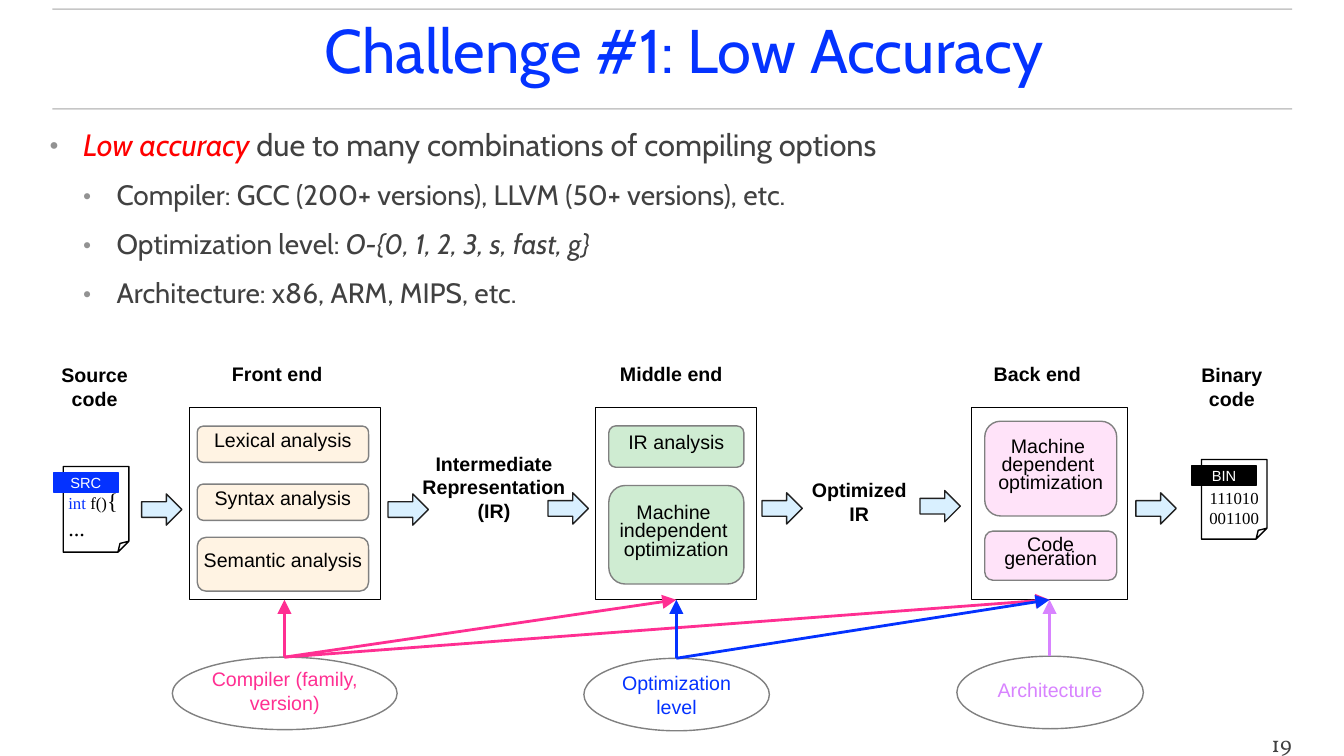
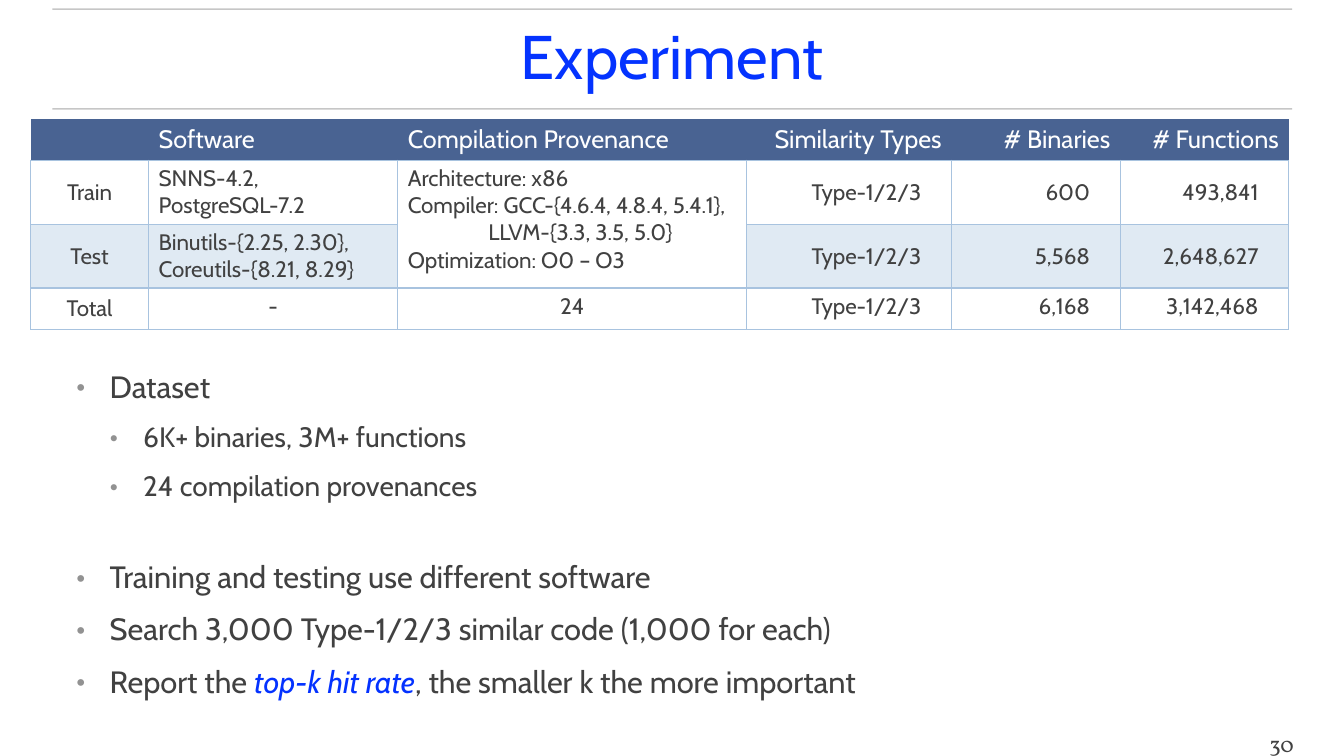
import pptx
import pptx.dml.color
import pptx.enum.shapes
import pptx.enum.text
import pptx.oxml.ns
import pptx.util
from lxml import etree

Pt = pptx.util.Pt
SHAPE = pptx.enum.shapes.MSO_SHAPE
ALIGN = pptx.enum.text.PP_ALIGN
ANCHOR = pptx.enum.text.MSO_ANCHOR

BLUE, TITLE_BLUE, PINK, VIOLET = "0432FF", "0433FF", "FF2F92", "D883FF"
BLACK, WHITE, TEXT, RED = "000000", "FFFFFF", "414141", "FF0000"
GREY, BULLET, RULE = "808080", "929292", "444444"
HEADER, BORDER = "496392", "A8C3DF"


def rgb(code):
    return pptx.dml.color.RGBColor.from_string(code)


def add_xml(parent, tag, **attributes):
    return etree.SubElement(parent, pptx.oxml.ns.qn(tag), attributes)


def fade(filled, percent):
    """Set the opacity of the solid fill directly inside an XML element."""
    fill = filled.find(pptx.oxml.ns.qn("a:solidFill"))
    add_xml(fill[0], "a:alpha", val=str(percent * 1000))


def font(name, size, color, **extra):
    return {"name": name, "size": Pt(size), "color": color, **extra}


def sides(left, top, right, bottom):
    """Insets in points, keyed by text frame or cell attribute."""
    values = {"left": left, "top": top, "right": right, "bottom": bottom}
    return {f"margin_{side}": Pt(value) for side, value in values.items()}


def set_all(target, values):
    for key, value in values.items():
        setattr(target, key, value)


def indent(paragraph, left, first=0):
    properties = paragraph._p.get_or_add_pPr()
    for key, value in {"marL": Pt(left), "indent": Pt(first)}.items():
        properties.set(key, str(value))
    return properties


class Deck:
    TITLE = font("Cabin", 44, TITLE_BLUE)
    NUMBER = font("Vollkorn", 16, TEXT)
    BODY = [font("Cabin", 22, TEXT), font("Cabin", 20, TEXT)]
    LABEL = font("Arial", 14, BLACK, bold=True)
    STEP = font("Arial", 14, BLACK)
    TAG = font("Arial", 10.5, WHITE)
    CODE = font("Times New Roman", 12, BLACK)
    TABLE_HEAD = font("Cabin", 18, WHITE)
    TABLE_BODY = font("Cabin", 16, TEXT)
    BODY_INSETS = sides(4.3, 4.3, 4.3, 4.3)

    def __init__(self):
        self.file = pptx.Presentation()
        self.file.slide_width, self.file.slide_height = Pt(960), Pt(540)
        self.slide = None

    def new_slide(self, title, title_box, number):
        self.slide = self.file.slides.add_slide(self.file.slide_layouts[6])
        for y in (6.5, 77.8):
            self.line((37.5, y), (923, y), RULE, 1, opacity=30)
        self.text(title_box, [title], self.TITLE, self.BODY_INSETS,
                  ANCHOR.MIDDLE, line_spacing=0.9)
        self.text((897.8, 517.7, 35.3, 21.6), [str(number)], self.NUMBER,
                  sides(7.2, 3.6, 7.2, 3.6))

    def runs(self, paragraph, content, base):
        """Content is a string or a list of (string, font changes)."""
        if isinstance(content, str):
            content = [(content, {})]
        for words, changes in content:
            run = paragraph.add_run()
            run.text = words
            look = {**base, **changes}
            run.font.color.rgb = rgb(look.pop("color"))
            set_all(run.font, look)

    def paragraphs(self, frame, contents, base, gap=0, **layout):
        for index, content in enumerate(contents):
            paragraph = frame.add_paragraph() if index else frame.paragraphs[0]
            set_all(paragraph, {"space_before": Pt(gap if index else 0), **layout})
            self.runs(paragraph, content, base)

    def text(self, box, contents, base, insets, anchor=ANCHOR.TOP, **layout):
        frame = self.slide.shapes.add_textbox(*map(Pt, box)).text_frame
        set_all(frame, {"word_wrap": True, "vertical_anchor": anchor, **insets})
        self.paragraphs(frame, contents, base, **{"alignment": ALIGN.CENTER, **layout})

    def label(self, box, *contents, alignment=ALIGN.CENTER):
        self.text(box, contents, self.LABEL, sides(7.2, 7.2, 7.2, 7.2),
                  alignment=alignment)

    def bullets(self, box, items):
        """Each item is (level, space before, content)."""
        frame = self.slide.shapes.add_textbox(*map(Pt, box)).text_frame
        set_all(frame, {"word_wrap": True, "vertical_anchor": ANCHOR.MIDDLE,
                        **self.BODY_INSETS})
        for index, (level, gap, content) in enumerate(items):
            paragraph = frame.add_paragraph() if index else frame.paragraphs[0]
            properties = indent(paragraph, 24 * (level + 1), -24)
            add_xml(add_xml(properties, "a:buClr"), "a:srgbClr", val=BULLET)
            add_xml(properties, "a:buFont", typeface=self.BODY[level]["name"])
            add_xml(properties, "a:buChar", char="•")
            set_all(paragraph, {"level": level, "space_before": Pt(gap)})
            self.runs(paragraph, content, self.BODY[level])

    def shape(self, kind, box, fill=None, outline=BLACK, width=1, contents=(),
              base=None, insets=None, anchor=ANCHOR.MIDDLE, **layout):
        shape = self.slide.shapes.add_shape(kind, *map(Pt, box))
        shape.shadow.inherit = False
        if fill:
            shape.fill.solid()
            shape.fill.fore_color.rgb = rgb(fill)
        else:
            shape.fill.background()
        shape.line.color.rgb = rgb(outline)
        shape.line.width = Pt(width)
        set_all(shape.text_frame, {"word_wrap": True, "vertical_anchor": anchor,
                                   **(insets or sides(0, 0, 0, 0))})
        self.paragraphs(shape.text_frame, contents, base,
                        **{"alignment": ALIGN.CENTER, **layout})

    def flow_arrow(self, x, y):
        self.shape(SHAPE.RIGHT_ARROW, (x, y, 28.8, 22.3), "D9F0FF", "202020")

    def stage(self, name, label_x, frame_x, frame_width, step_x, step_width, fill, steps):
        """A framed compiler phase; each step is (top, height, lines)."""
        self.label((label_x, 251.3, 105, 41), name, alignment=ALIGN.LEFT)
        self.shape(SHAPE.RECTANGLE, (frame_x, 291.2, frame_width, 137))
        for top, height, lines in steps:
            self.shape(SHAPE.ROUNDED_RECTANGLE, (step_x, top, step_width, height),
                       fill, GREY, contents=lines, base=self.STEP,
                       gap=3, line_spacing=Pt(10))

    def code_file(self, x, y, height, tag, color, contents, alignment):
        self.shape(SHAPE.FOLDED_CORNER, (x, y, 46.8, height), contents=contents,
                   base=self.CODE, insets=sides(3.6, 3.6, 3.6, 0),
                   anchor=ANCHOR.BOTTOM, alignment=alignment)
        self.shape(SHAPE.RECTANGLE, (x - 6.5, y + 4.3, 45.4, 14.4), color, color, 1.25,
                   [tag], self.TAG, sides(3.6, 3.6, 3.6, 3.6))

    def line(self, start, end, color, width, opacity=100, arrow=False):
        connector = self.slide.shapes.add_connector(
            pptx.enum.shapes.MSO_CONNECTOR.STRAIGHT, *map(Pt, start + end))
        connector.line.color.rgb = rgb(color)
        connector.line.width = Pt(width)
        properties = connector.element.spPr
        stroke = properties.find(pptx.oxml.ns.qn("a:ln"))
        if opacity < 100:
            fade(stroke, opacity)
        if arrow:
            add_xml(stroke, "a:tailEnd", type="triangle", w="lg", len="lg")
        add_xml(properties, "a:effectLst")

    def table(self, left, top, widths, heights):
        table = self.slide.shapes.add_table(
            len(heights), len(widths), Pt(left), Pt(top),
            Pt(sum(widths)), Pt(sum(heights))).table
        set_all(table, {"first_row": False, "horz_banding": False})
        for column, width in zip(table.columns, widths):
            column.width = Pt(width)
        for row, height in zip(table.rows, heights):
            row.height = Pt(height)
        return table

    def cell(self, cell, contents, base, fill, border, alignment,
             anchor=ANCHOR.TOP, right=7.2, opacity=100):
        set_all(cell, {"vertical_anchor": anchor, **sides(7.2, 3.6, right, 3.6)})
        properties = cell._tc.get_or_add_tcPr()
        for side in ("a:lnL", "a:lnR", "a:lnT", "a:lnB"):
            edge = add_xml(properties, side, w=str(Pt(1)))
            if border:
                add_xml(add_xml(edge, "a:solidFill"), "a:srgbClr", val=border)
            else:
                add_xml(edge, "a:noFill")
        if fill:
            cell.fill.solid()
            cell.fill.fore_color.rgb = rgb(fill)
            if opacity < 100:
                fade(properties, opacity)
        else:
            cell.fill.background()
        self.paragraphs(cell.text_frame, contents, base, alignment=alignment)


def accuracy_slide(deck):
    deck.new_slide("Challenge #1: Low Accuracy", (27.4, 5.8, 922.3, 65.5), 19)
    deck.bullets((31, 77.8, 928.8, 154.8), [
        (0, 0, [("Low accuracy ", {"color": RED, "italic": True}),
                ("due to many combinations of compiling options", {})]),
        (1, 11, "Compiler: GCC (200+ versions), LLVM (50+ versions), etc."),
        (1, 11, [("Optimization level: ", {}),
                 ("O-{0, 1, 2, 3, s, fast, g}", {"italic": True})]),
        (1, 11, "Architecture: x86, ARM, MIPS, etc.")])

    deck.stage("Front end", 158.6, 135.2, 136.6, 140.9, 122.4, "FFF3E3", [
        (304.4, 25.9, ["Lexical analysis"]),
        (345.8, 25.9, ["Syntax analysis"]),
        (383.8, 38.5, ["Semantic analysis"])])
    deck.stage("Middle end", 435.8, 425.4, 115, 434.9, 96.5, "CFECD2", [
        (304.2, 29.5, ["IR analysis"]),
        (346.8, 70.4, ["Machine ", "independent ", "optimization"])])
    deck.stage("Back end", 702.7, 694, 111.4, 703.4, 94.3, "FFE3F9", [
        (300.9, 67.7, ["Machine ", "dependent ", "optimization"]),
        (379.4, 35.1, ["Code generation"])])

    for x, y in ((101.2, 352.8), (277.2, 352.8), (391.5, 352),
                 (544.3, 352), (657.2, 350.4), (811.4, 352)):
        deck.flow_arrow(x, y)
    deck.label((31.2, 252.3, 72.7, 41), "Source code")
    deck.label((279.4, 315.4, 146.9, 29.5), "Intermediate Representation", "(IR)")
    deck.label((565.9, 334.3, 95.8, 52.6), "Optimized IR")
    deck.label((837.4, 252.3, 85, 41), "Binary code")

    large = {"size": Pt(16)}
    deck.code_file(45.2, 333.2, 61.2, "SRC", BLUE, [
        [("int ", {"color": BLUE}), ("f()", {}), ("{", large)],
        [("...", large)]], ALIGN.LEFT)
    deck.code_file(858.2, 328.2, 56.9, "BIN", BLACK, ["111010001100"], ALIGN.CENTER)

    front, middle, back = 203.2, 483.1, 749.7
    for factor, color, left, top, width, inset, targets in (
            ("Compiler (family, version)", PINK, 123.1, 469.4, 160.6, 0,
             (front, middle, back)),
            ("Optimization level", BLUE, 417.1, 470.2, 132.5, 3.6, (middle, back)),
            ("Architecture", VIOLET, 683.5, 468.7, 133.2, 0, (back,))):
        deck.shape(SHAPE.OVAL, (left, top, width, 51.8), None, GREY, contents=[factor],
                   base={**deck.STEP, "color": color}, insets=sides(0, inset, 0, 3.6))
        for target in targets:
            deck.line((targets[0], top), (target, 428.4), color, 2, arrow=True)


def experiment_slide(deck):
    deck.new_slide("Experiment", (37.6, 9.4, 884.9, 65.5), 30)
    deck.bullets((50, 243.8, 899.3, 274.3), [
        (0, 0, "Dataset"),
        (1, 11, "6K+ binaries, 3M+ functions"),
        (1, 11, "24 compilation provenances"),
        (0, 39.5, "Training and testing use different software"),
        (0, 11, "Search 3,000 Type-1/2/3 similar code (1,000 for each)"),
        (0, 11, [("Report the ", {}),
                 ("top-k hit rate", {"color": BLUE, "italic": True}),
                 (", the smaller k the more important", {})])])

    header = ["", "Software", "Compilation Provenance", "Similarity Types",
              "# Binaries", "# Functions"]
    provenance = ["Architecture: x86", "Compiler: GCC-{4.6.4, 4.8.4, 5.4.1},",
                  "LLVM-{3.3, 3.5, 5.0}", "Optimization: O0 – O3"]
    rows = [
        ["Train", ["SNNS-4.2,", "PostgreSQL-7.2"], provenance,
         "Type-1/2/3", "600", "493,841"],
        ["Test", "Binutils-{2.25, 2.30}, Coreutils-{8.21, 8.29}", [],
         "Type-1/2/3", "5,568", "2,648,627"],
        ["Total", "-", "24", "Type-1/2/3", "6,168", "3,142,468"]]
    table = deck.table(21.9, 85, [84.2, 178, 249.3, 146.5, 120.4, 120.4],
                       [29.5, 45.6, 45.6, 29.5])
    table.cell(1, 2).merge(table.cell(2, 2))

    for column, heading in enumerate(header):
        deck.cell(table.cell(0, column), [heading] if heading else [], deck.TABLE_HEAD,
                  HEADER, None, ALIGN.RIGHT if column > 2 else ALIGN.LEFT)
    for row, values in enumerate(rows, 1):
        total = row == len(rows)
        for column, value in enumerate(values):
            numeric = column > 2
            if numeric:
                alignment = ALIGN.RIGHT
            else:
                alignment = ALIGN.CENTER if total or column == 0 else ALIGN.LEFT
            centred = column == 0 or (numeric and not total)
            deck.cell(table.cell(row, column),
                      [value] if isinstance(value, str) else value, deck.TABLE_BODY,
                      BORDER if row == 2 and column != 2 else None, BORDER, alignment,
                      ANCHOR.MIDDLE if centred else ANCHOR.TOP,
                      21.6 if numeric else 7.2, opacity=35)
    indent(table.cell(1, 2).text_frame.paragraphs[2], 57.5)


def main():
    deck = Deck()
    accuracy_slide(deck)
    experiment_slide(deck)
    deck.file.save("out.pptx")


if __name__ == "__main__":
    main()
